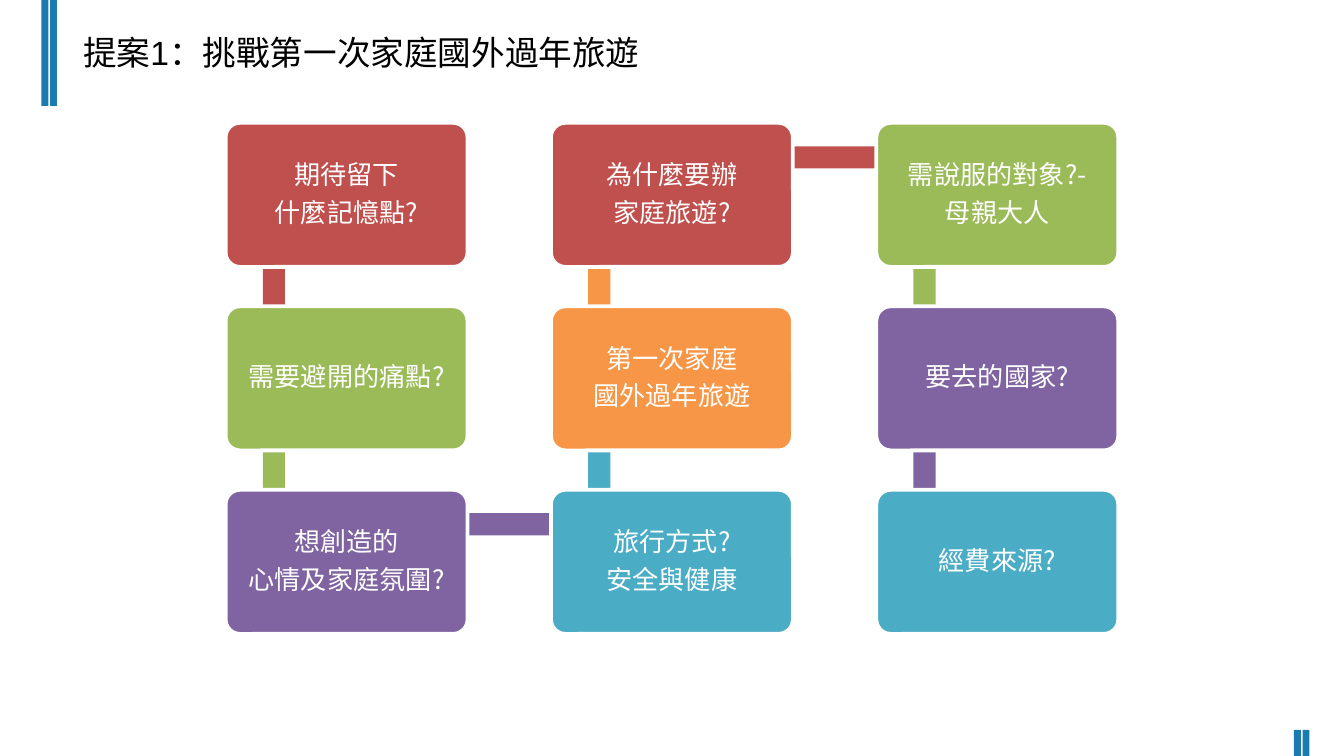
from pptx import Presentation
from pptx.dml.color import RGBColor
from pptx.enum import shapes, text
from pptx.oxml import ns
from pptx.util import Pt
from lxml import etree

BLUE = RGBColor(0x1A, 0x7B, 0xAE)
RED = RGBColor(0xC0, 0x50, 0x4D)
GREEN = RGBColor(0x9B, 0xBB, 0x59)
PURPLE = RGBColor(0x80, 0x64, 0xA2)
TEAL = RGBColor(0x4B, 0xAC, 0xC6)
ORANGE = RGBColor(0xF7, 0x96, 0x46)
WHITE = RGBColor(0xFF, 0xFF, 0xFF)
BLACK = RGBColor(0, 0, 0)
FONT = "Noto Sans CJK SC"

prs = Presentation()
prs.slide_width, prs.slide_height = Pt(720), Pt(405)
slide = prs.slides.add_slide(prs.slide_layouts[5])


def block(kind, x, y, w, h, color):
    shape = slide.shapes.add_shape(kind, Pt(x), Pt(y), Pt(w), Pt(h))
    shape.shadow.inherit = False
    shape.fill.solid()
    shape.fill.fore_color.rgb = color
    shape.line.fill.background()
    return shape


RECT = shapes.MSO_SHAPE.RECTANGLE
ROUND = shapes.MSO_SHAPE.ROUNDED_RECTANGLE

# Corner bars
for x, y, h in [(22.2, 0, 56.8), (26.8, 0, 56.8), (693.2, 391, 14), (697.8, 391, 14)]:
    block(RECT, x, y, 3.7, h, BLUE)

# Title
title = slide.shapes.title
title.left, title.top, title.width, title.height = Pt(37.4), Pt(13.7), Pt(315.4), Pt(28.8)
frame = title.text_frame
frame.text = "提案1：挑戰第一次家庭國外過年旅遊"
frame.word_wrap = True
frame.auto_size = text.MSO_AUTO_SIZE.NONE
frame.vertical_anchor = text.MSO_ANCHOR.TOP
para = frame.paragraphs[0]
para.alignment = text.PP_ALIGN.LEFT
run = para.runs[0]
run.font.size = Pt(18)
run.font.name = "Arial"
run.font.color.rgb = BLACK

# Grid of steps, column by column
LEFT, TOP, WIDE, HIGH = 120.9, 65.8, 129.6, 77.2
STEP_X, STEP_Y = 174.3, 98.3
THICK = 11.9
columns = [
    [("期待留下\n什麼記憶點?", RED), ("需要避開的痛點?", GREEN),
     ("想創造的\n心情及家庭氛圍?", PURPLE)],
    [("為什麼要辦\n家庭旅遊?", RED), ("第一次家庭\n國外過年旅遊", ORANGE),
     ("旅行方式?\n安全與健康", TEAL)],
    [("需說服的對象?-\n母親大人", GREEN), ("要去的國家?", PURPLE),
     ("經費來源?", TEAL)],
]

# Links behind the boxes: down, up, down
links = [[RED, GREEN], [ORANGE, TEAL], [GREEN, PURPLE]]
for col, pair in enumerate(links):
    for row, color in enumerate(pair):
        block(RECT, LEFT + col * STEP_X + 19.9, TOP + row * STEP_Y + 13,
              THICK, 97, color)
for col, row, color in [(0, 2, PURPLE), (1, 0, RED)]:
    block(RECT, LEFT + col * STEP_X + 26, TOP + row * STEP_Y + 12.6,
          173.5, THICK, color)

# Boxes
for col, steps in enumerate(columns):
    for row, (words, color) in enumerate(steps):
        box = block(ROUND, LEFT + col * STEP_X, TOP + row * STEP_Y, WIDE, HIGH, color)
        box.adjustments[0] = 0.1
        box.line.color.rgb = WHITE
        box.line.width = Pt(2)
        frame = box.text_frame
        frame.text = words
        frame.word_wrap = True
        frame.vertical_anchor = text.MSO_ANCHOR.MIDDLE
        frame.margin_left = frame.margin_right = Pt(10)
        frame.margin_top = frame.margin_bottom = Pt(10)
        for para in frame.paragraphs:
            para.alignment = text.PP_ALIGN.CENTER
            para.line_spacing = 0.9
            para.space_after = Pt(4.9)
            run = para.runs[0]
            run.font.size = Pt(14)
            run.font.name = FONT
            run.font.color.rgb = WHITE
            east = etree.SubElement(run.font._element, ns.qn("a:ea"))
            east.set("typeface", FONT)

prs.save("out.pptx")
